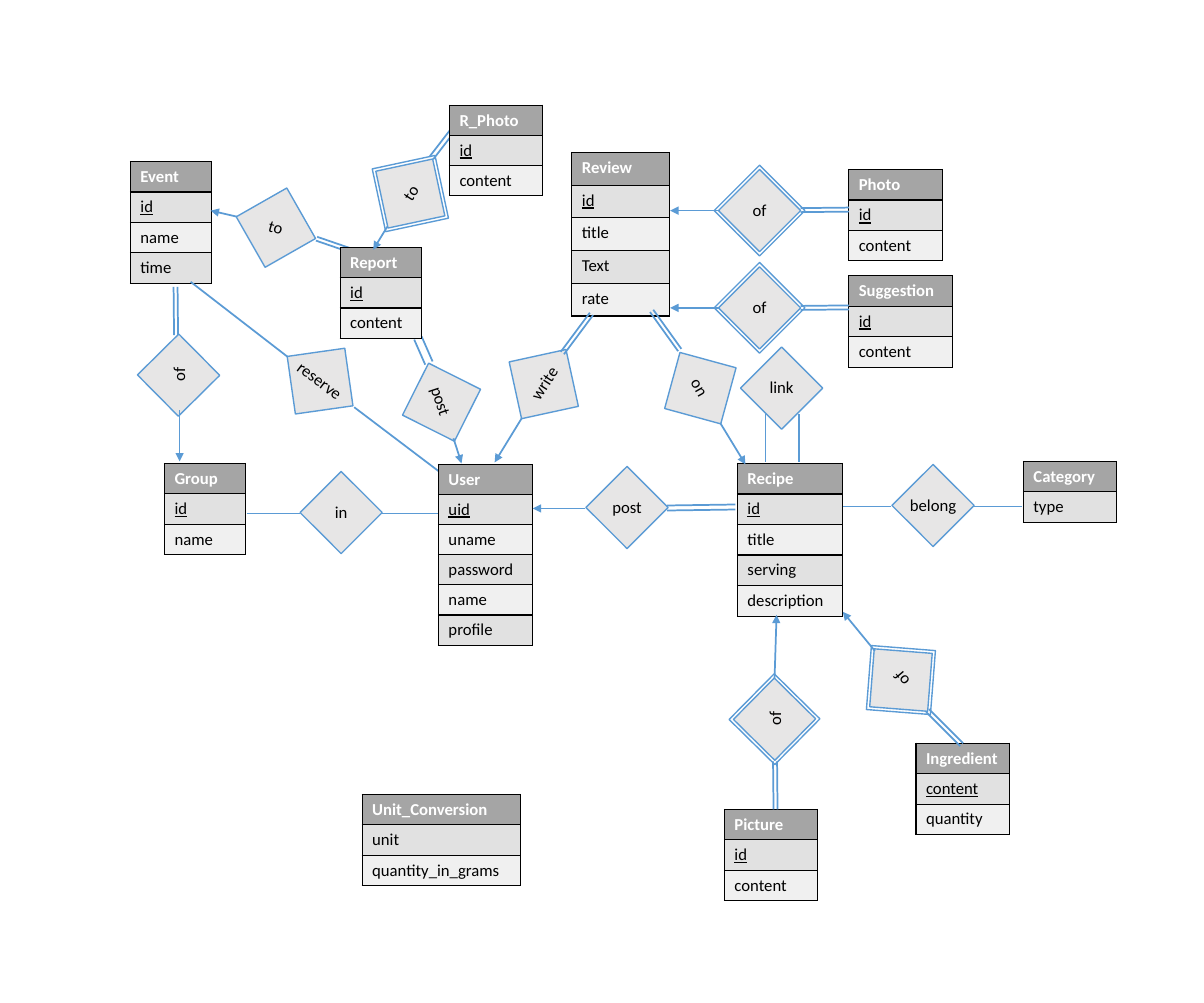
import math

import lxml.etree
import pptx
import pptx.dml.color
import pptx.enum.shapes
import pptx.enum.text
import pptx.oxml.ns
import pptx.util

RGB = pptx.dml.color.RGBColor
BLUE = RGB(0x5B, 0x9B, 0xD5)
PALE = RGB(0xE7, 0xE6, 0xE6)
GREY = RGB(0xA5, 0xA5, 0xA5)
BANDS = RGB(0xF0, 0xF0, 0xF0), RGB(0xE1, 0xE1, 0xE1)
BLACK = RGB(0, 0, 0)
WHITE = RGB(0xFF, 0xFF, 0xFF)

WIDTH, HEIGHT = pptx.util.Inches(12), pptx.util.Inches(10)
COL, ROW = WIDTH / 120, HEIGHT / 100  # the grid has 120 columns and 100 rows
SIDE, FRAME = 5.8, 6.4
LABELS = {"belong": 6.7, "link": 4.4, "of": 3.4, "write": 5.6, "on": 3.8,
          "reserve": 7.2, "in": 3.3, "to": 3.5, "post": 5}

# name, left, top, width, row height, fields
BACK = [
    ("Recipe", 73.5, 46.2, 10.5, 3.05, "id title serving description"),
    ("Category", 102, 46, 9.3, 3, "type"),
    ("Picture", 72.2, 80.7, 9.3, 3, "id content"),
    ("Ingredient", 91.3, 74.1, 9.3, 3, "content quantity"),
    ("Review", 57, 15.2, 9.7, 3.26, "id title Text rate"),
    ("Photo", 84.6, 16.9, 9.3, 3, "id content"),
    ("Suggestion", 84.6, 27.5, 10.3, 3, "id content"),
    ("Group", 16.4, 46.2, 8.1, 3, "id name"),
    ("Event", 13, 16.1, 8.1, 3, "id name time"),
    ("Unit_Conversion", 36.1, 79.2, 15.8, 3, "unit quantity_in_grams"),
]
FRONT = [
    ("Report", 33.9, 24.7, 8.1, 3, "id content"),
    ("R_Photo", 44.8, 10.5, 9.3, 3, "id content"),
    ("User", 43.7, 46.3, 9.4, 3, "uid uname password name profile"),
]
KEYLESS = {"Category", "Unit_Conversion"}

# label, centre x, centre y, tilt of the label, framed
BONDS = [
    ("belong", 93, 50.4, 0, False),
    ("link", 77.9, 38.7, 0, False),
    ("of", 75.7, 30.7, 0, True),
    ("of", 75.7, 21, 0, True),
    ("of", 89.8, 67.8, 229.5, True),
    ("of", 77.2, 71.7, 269.6, True),
    ("write", 54.2, 38.3, 302.7, False),
    ("on", 69.8, 38.7, 60.3, False),
    ("reserve", 31.9, 38, 36.9, False),
    ("of", 17.8, 37.4, 270.3, False),
    ("in", 34, 51.1, 0, False),
    ("to", 27.5, 22.7, 15.3, False),
    ("post", 44, 40.1, 71.7, False),
    ("to", 40.9, 19.3, 302.9, True),
    ("post", 62.5, 50.6, 0, False),
]

# from x, from y, to x, to y
PLAIN = [
    (84, 50.5, 88.8, 50.5), (97.1, 50.5, 101.9, 50.5),
    (76.3, 41.3, 76.3, 46.1), (79.6, 41.3, 79.6, 46.1),
    (19, 28.1, 28.7, 35.6), (35.3, 40.6, 45.2, 48.1),
    (24.6, 51.2, 29.9, 51.2), (38.1, 51.2, 44.9, 51.2),
]
ARROWS = [
    (71.8, 30.7, 66.8, 30.7), (71.8, 21, 66.8, 21),
    (87.2, 64.9, 84, 61), (77.2, 67.7, 77.4, 61.3),
    (52, 41.7, 49.3, 46.1), (71.8, 42.2, 74.3, 46.3),
    (17.9, 40.9, 17.9, 46), (23.6, 21.6, 21, 21),
    (45.2, 43.7, 46, 46.2), (38.6, 22.6, 37.2, 24.9),
    (58.3, 50.7, 53.1, 50.7),
]
# middle of the two lines, then the gap between them
PAIRS = [
    (95.85, 74.25, 92.45, 70.85, 0.4), (77.3, 80.7, 77.25, 75.9, 0.4),
    (56.05, 35.2, 58.95, 31.3, 0.4), (67.75, 34.9, 64.95, 31, 0.4),
    (79.8, 30.7, 84.6, 30.65, 0.4), (79.8, 20.95, 84.6, 20.9, 0.4),
    (17.55, 33.4, 17.5, 28.6, 0.4), (31.55, 23.8, 36.05, 25.35, 0.4),
    (42.75, 36.2, 41.65, 33.7, 0.8), (43, 15.75, 45, 13.15, 0.45),
    (66.5, 50.65, 73.3, 50.55, 0.5),
]


def spot(x, y):
    return round(x * COL), round(y * ROW)


def box(x, y, wide, high):
    """Left, top, width and height around a centre."""
    return spot(x - wide / 2, y - high / 2) + spot(wide, high)


def write(frame, text, color, bold=False, under=False):
    run = frame.paragraphs[0].add_run()
    run.text = text
    run.font.name = "Calibri"
    run.font.size = pptx.util.Pt(12)
    run.font.color.rgb = color
    run.font.bold = bold
    run.font.underline = under


def child(node, tag, **traits):
    return lxml.etree.SubElement(node, pptx.oxml.ns.qn(tag), **traits)


def edge(cell):
    """Draw a black border on all four sides of a cell."""
    props = cell._tc.get_or_add_tcPr()
    for side in "LRTB":
        line = child(props, "a:ln" + side, w=str(pptx.util.Pt(1)))
        child(child(line, "a:solidFill"), "a:srgbClr", val=str(BLACK))


def entity(slide, name, x, y, wide, high, fields):
    texts = [name] + fields.split()
    place = spot(x, y) + spot(wide, high * len(texts))
    table = slide.shapes.add_table(len(texts), 1, *place).table
    for i, text in enumerate(texts):
        table.rows[i].height = round(high * ROW)
        cell = table.cell(i, 0)
        edge(cell)
        cell.fill.solid()
        cell.fill.fore_color.rgb = BANDS[i % 2] if i else GREY
        write(cell.text_frame, text, BLACK if i else WHITE, bold=i == 0,
              under=i == 1 and name not in KEYLESS)


def square(slide, x, y, side, turn, filled):
    kind = pptx.enum.shapes.MSO_SHAPE.RECTANGLE
    shape = slide.shapes.add_shape(kind, *box(x, y, side, side))
    shape.rotation = turn
    shape.shadow.inherit = False
    shape.line.color.rgb = BLUE
    shape.line.width = pptx.util.Pt(1)
    if filled:
        shape.fill.solid()
        shape.fill.fore_color.rgb = PALE
    else:
        shape.fill.background()


def bond(slide, label, x, y, tilt, framed):
    square(slide, x, y, SIDE, (tilt + 45) % 360, True)
    if framed:
        square(slide, x, y, FRAME, (tilt + 45) % 360, False)
    text = slide.shapes.add_textbox(*box(x, y - 0.1, LABELS[label], 3))
    text.rotation = tilt
    text.text_frame.word_wrap = False
    text.text_frame.paragraphs[0].alignment = pptx.enum.text.PP_ALIGN.CENTER
    write(text.text_frame, label, BLACK)


def link(slide, x1, y1, x2, y2, arrow=False):
    kind = pptx.enum.shapes.MSO_CONNECTOR.STRAIGHT
    line = slide.shapes.add_connector(kind, *spot(x1, y1), *spot(x2, y2))
    line.line.color.rgb = BLUE
    line.line.width = pptx.util.Pt(1.25)
    props = line._element.spPr
    if arrow:
        child(props.find(pptx.oxml.ns.qn("a:ln")), "a:tailEnd", type="triangle")
    child(props, "a:effectLst")


def pair(slide, x1, y1, x2, y2, gap):
    """Draw two lines at equal distance from a middle line."""
    size = math.hypot(x2 - x1, y2 - y1)
    for half in (-gap / 2, gap / 2):
        dx, dy = half * (y1 - y2) / size, half * (x2 - x1) / size
        link(slide, x1 + dx, y1 + dy, x2 + dx, y2 + dy)


def main():
    deck = pptx.Presentation()
    deck.slide_width, deck.slide_height = WIDTH, HEIGHT
    slide = deck.slides.add_slide(deck.slide_layouts[6])
    for item in BACK:
        entity(slide, *item)
    for item in BONDS:
        bond(slide, *item)
    for item in PLAIN:
        link(slide, *item)
    for item in PAIRS:
        pair(slide, *item)
    for item in FRONT:
        entity(slide, *item)
    for item in ARROWS:
        link(slide, *item, arrow=True)
    deck.save("out.pptx")


if __name__ == "__main__":
    main()
